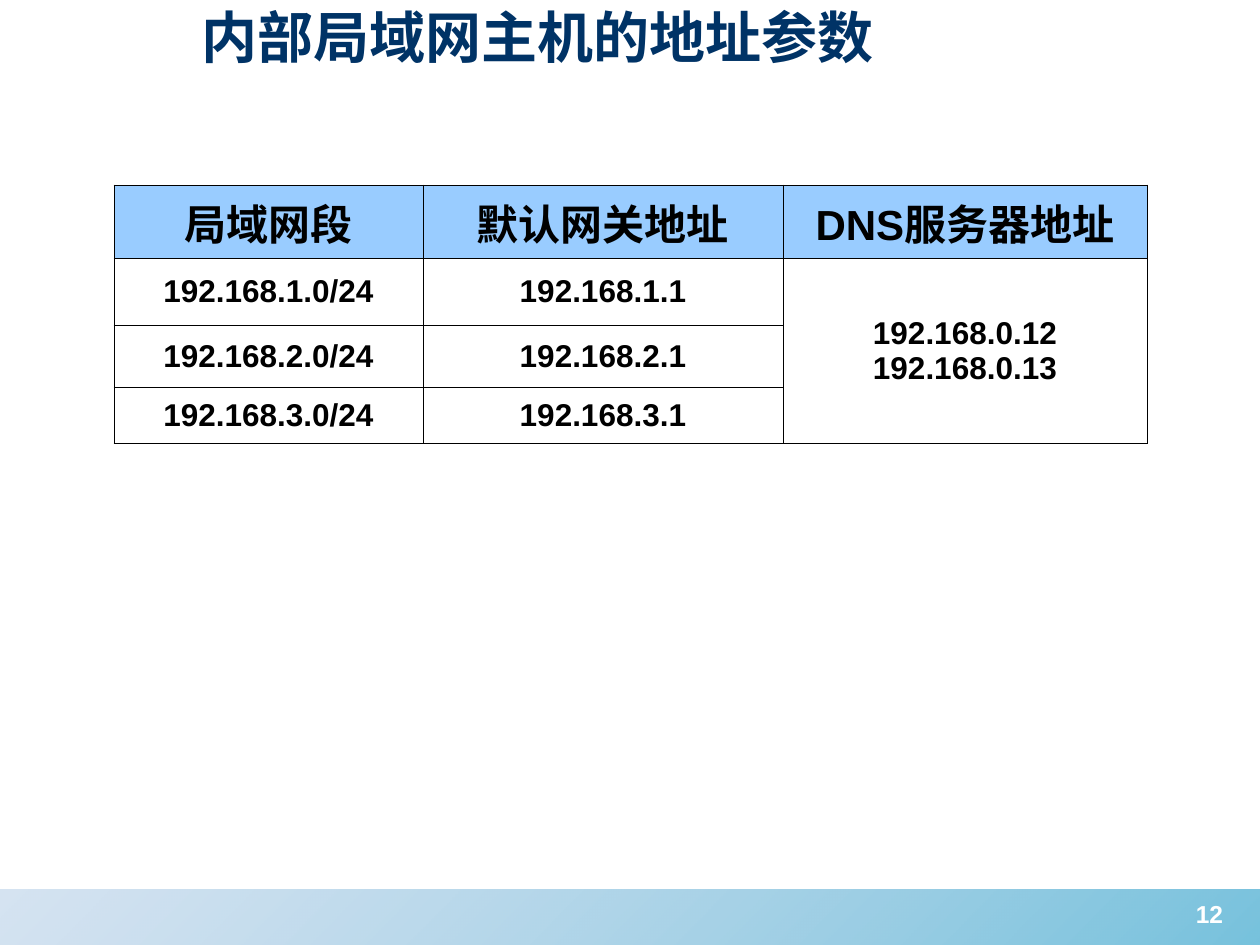
from typing import NamedTuple

from lxml import etree
from pptx import Presentation
from pptx.dml.color import RGBColor
from pptx.enum.shapes import MSO_SHAPE
from pptx.enum.text import MSO_ANCHOR, MSO_AUTO_SIZE, PP_ALIGN
from pptx.oxml.ns import qn
from pptx.util import Emu, Pt

RECT = MSO_SHAPE.RECTANGLE
CENTER, LEFT = PP_ALIGN.CENTER, PP_ALIGN.LEFT
MIDDLE, TOP = MSO_ANCHOR.MIDDLE, MSO_ANCHOR.TOP
NO_AUTOFIT = MSO_AUTO_SIZE.NONE

NAVY = RGBColor(0x00, 0x33, 0x66)
BLACK = RGBColor(0x00, 0x00, 0x00)
WHITE = RGBColor(0xFF, 0xFF, 0xFF)
HEADER_BLUE = RGBColor(0x99, 0xCC, 0xFF)
BAND_TEAL = RGBColor(0x1C, 0x99, 0xC6)
BAND_BLUE = RGBColor(0x88, 0xB0, 0xD8)

FONT = "Arial"
PX = 914400 // 126
BORDER = Pt(0.45)


class Box(NamedTuple):
    left: int
    top: int
    width: int
    height: int

    def emu(self) -> list[Emu]:
        return [Emu(v * PX) for v in self]


class Stop(NamedTuple):
    color: RGBColor
    opacity: int


SLIDE = Box(0, 0, 1260, 945)
BAND = Box(0, 890, 1260, 55)
TITLE = Box(189, -4, 1017, 81)
NUMBER = Box(1164, 893, 91, 66)
TABLE = Box(114, 185, 1033, 249)
COL_WIDTHS = [309, 360, 364]
ROW_HEIGHTS = [64, 67, 62, 56]
BAND_STOPS = [Stop(BAND_TEAL, 60), Stop(BAND_BLUE, 35)]

HEADERS = ["局域网段", "默认网关地址", "DNS服务器地址"]
SUBNETS = [1, 2, 3]
DNS_SERVERS = "192.168.0.12\n192.168.0.13"


def set_text(tf, text: str, size: int, color: RGBColor, align=CENTER) -> None:
    tf.text = text
    for p in tf.paragraphs:
        p.alignment = align
        p.font.name = FONT
        p.font.size = Pt(size)
        p.font.bold = True
        p.font.color.rgb = color


def add_band(s) -> None:
    band = s.shapes.add_shape(RECT, *BAND.emu())
    band.shadow.inherit = False
    band.line.fill.background()
    band.fill.gradient()
    band.fill.gradient_angle = 135
    for grad_stop, stop in zip(band.fill.gradient_stops, BAND_STOPS):
        grad_stop.color.rgb = stop.color
    colors = band._element.spPr.iter(qn("a:srgbClr"))
    for clr, stop in zip(list(colors), BAND_STOPS):
        etree.SubElement(clr, qn("a:alpha"), val=str(stop.opacity * 1000))


def add_title(s) -> None:
    title = s.shapes.title
    title.left, title.top, title.width, title.height = TITLE.emu()
    tf = title.text_frame
    tf.auto_size = NO_AUTOFIT
    tf.vertical_anchor = MIDDLE
    set_text(tf, "内部局域网主机的地址参数", 32, NAVY, LEFT)


def set_borders(cell) -> None:
    tc_pr = cell._tc.get_or_add_tcPr()
    for side in ("a:lnL", "a:lnR", "a:lnT", "a:lnB"):
        ln = etree.SubElement(tc_pr, qn(side), w=str(BORDER))
        fill = etree.SubElement(ln, qn("a:solidFill"))
        etree.SubElement(fill, qn("a:srgbClr"), val=str(BLACK))


def add_address_table(s) -> None:
    rows = [HEADERS]
    rows += [[f"192.168.{n}.0/24", f"192.168.{n}.1", ""] for n in SUBNETS]
    rows[1][2] = DNS_SERVERS
    table = s.shapes.add_table(len(rows), len(HEADERS), *TABLE.emu()).table
    for col, width in zip(table.columns, COL_WIDTHS):
        col.width = Emu(width * PX)
    for row, height in zip(table.rows, ROW_HEIGHTS):
        row.height = Emu(height * PX)
    table.cell(1, 2).merge(table.cell(len(rows) - 1, 2))

    for i, values in enumerate(rows):
        for j, text in enumerate(values):
            cell = table.cell(i, j)
            set_borders(cell)
            if i == 0:
                cell.fill.solid()
                cell.fill.fore_color.rgb = HEADER_BLUE
            else:
                cell.fill.background()
            cell.vertical_anchor = MIDDLE
            if text:
                set_text(cell.text_frame, text, 24 if i == 0 else 18, BLACK)
    table.cell(3, 0).text_frame.paragraphs[0].space_before = Pt(0)


def add_slide_number(s) -> None:
    tf = s.shapes.add_textbox(*NUMBER.emu()).text_frame
    tf.word_wrap = True
    tf.vertical_anchor = TOP
    set_text(tf, "12", 14, WHITE)


def main() -> None:
    prs = Presentation()
    prs.slide_width, prs.slide_height = SLIDE.emu()[2:]
    s = prs.slides.add_slide(prs.slide_layouts[5])
    add_band(s)
    add_title(s)
    add_address_table(s)
    add_slide_number(s)
    prs.save("out.pptx")


if __name__ == "__main__":
    main()
